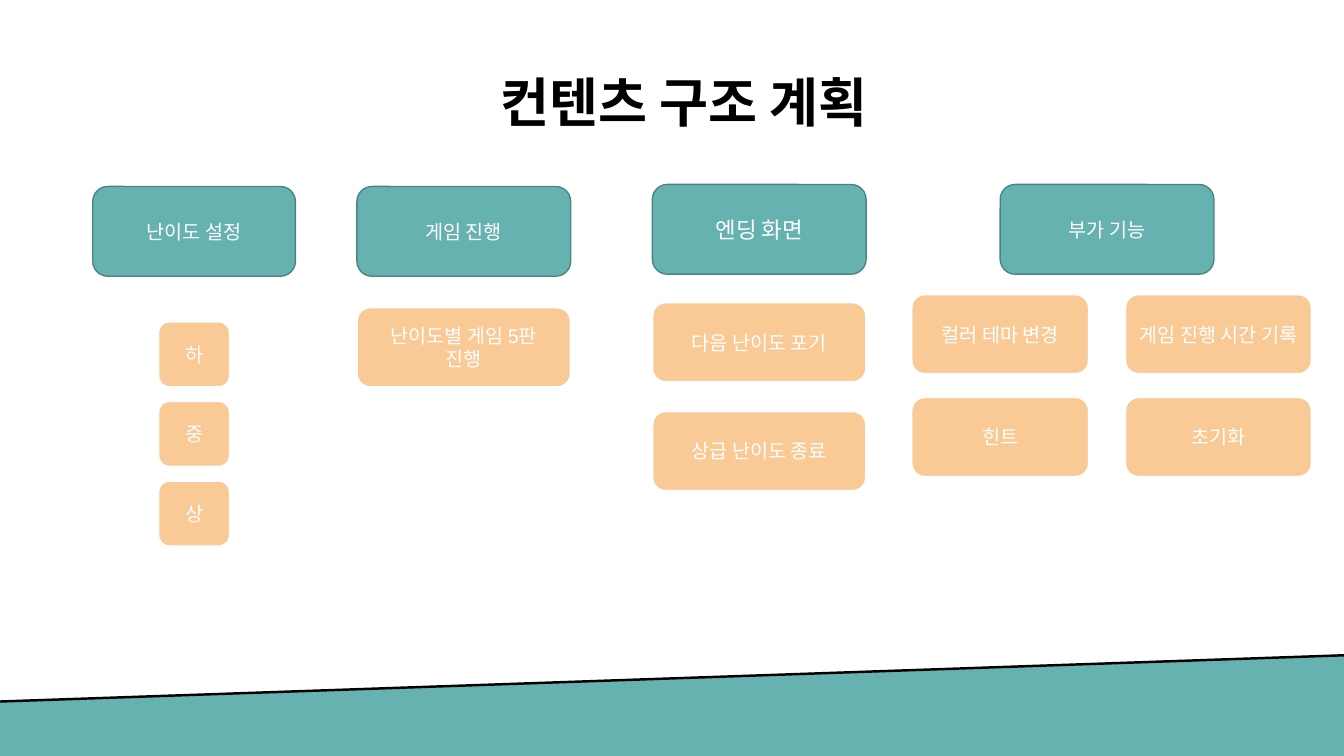
from lxml import etree
from pptx import Presentation
from pptx.dml.color import RGBColor
from pptx.enum.shapes import MSO_CONNECTOR, MSO_SHAPE
from pptx.enum.text import MSO_ANCHOR, PP_ALIGN
from pptx.oxml.ns import qn
from pptx.util import Pt

ROUND = MSO_SHAPE.ROUNDED_RECTANGLE
LINE = MSO_CONNECTOR.STRAIGHT
CENTER = PP_ALIGN.CENTER
MIDDLE = MSO_ANCHOR.MIDDLE

# Content
TITLE = "컨텐츠 구조 계획"
# Heads: text, left, top, width, text size
HEADS = [
    ("난이도 설정", 92, 185, 201, 14),
    ("게임 진행", 354, 185, 212, 14),
    ("엔딩 화면", 647, 183, 212, 16),
    ("부가 기능", 992, 183, 212, 14),
]
# Item stacks: texts, left, top, width, height, step
STACKS = [
    (["하", "중", "상"], 157, 319, 71, 65, 79),
    (["난이도별 게임 5판 진행"], 354, 305, 212, 79, 0),
    (["다음 난이도 포기", "상급 난이도 종료"], 647, 300, 212, 79, 108),
    (["컬러 테마 변경", "힌트"], 904, 292, 176, 79, 102),
    (["게임 진행 시간 기록", "초기화"], 1116, 292, 185, 79, 102),
]
WAVE = [(-1, 696), (1335, 650), (1335, 750), (0, 753)]

COLORS = {"teal": "66B2B0", "edge": "4B8482", "peach": "F9C996",
          "white": "FFFFFF", "black": "000000"}
LATIN, HANGUL = "Arial", "Noto Sans CJK KR"
PX = 9144  # 100 px to the inch
HEAD_H = 89


def px(*vals):
    return [v * PX for v in vals]


def rgb(name):
    return RGBColor.from_string(COLORS[name])


def write(shape, text, size, color, face=LATIN, bold=False):
    frame = shape.text_frame
    frame.word_wrap = True
    frame.vertical_anchor = MIDDLE
    para = frame.paragraphs[0]
    para.text = text
    para.alignment = CENTER
    font = para.font
    font.size, font.bold, font.name = Pt(size), bold, face
    font.color.rgb = rgb(color)
    # East Asian typeface
    props = para._p.pPr.find(qn("a:defRPr"))
    etree.SubElement(props, qn("a:ea")).set("typeface", HANGUL)
    return para


def box(text, place, fill, edge, width, size=14):
    shape = slide.shapes.add_shape(ROUND, *px(*place))
    shape.shadow.inherit = False
    shape.fill.solid()
    shape.fill.fore_color.rgb = rgb(fill)
    shape.line.color.rgb = rgb(edge)
    shape.line.width = Pt(width)
    write(shape, text, size, "white")


prs = Presentation()
prs.slide_width, prs.slide_height = px(1333, 750)
slide = prs.slides.add_slide(prs.slide_layouts[6])

# Sloped footer and its top edge
form = slide.shapes.build_freeform(*WAVE[0], scale=PX)
form.add_line_segments(WAVE[1:], close=True)
foot = form.convert_to_shape()
foot.shadow.inherit = False
foot.fill.solid()
foot.fill.fore_color.rgb = rgb("teal")
foot.line.fill.background()

rim = slide.shapes.add_connector(LINE, *px(*WAVE[1], *WAVE[0]))
rim.line.color.rgb = rgb("black")
rim.line.width = Pt(1.75)
etree.SubElement(rim._element.spPr, qn("a:effectLst"))

# Title
title = slide.shapes.add_textbox(*px(104, 32, 1150, 145))
write(title, TITLE, 38, "black", HANGUL, True).line_spacing = 0.9

# Heads
for text, left, top, wide, size in HEADS:
    box(text, (left, top, wide, HEAD_H), "teal", "edge", 1, size)

# Items below the heads
for texts, left, top, wide, high, step in STACKS:
    for row, text in enumerate(texts):
        box(text, (left, top + row * step, wide, high), "peach", "white", 1.5)

prs.save("out.pptx")
